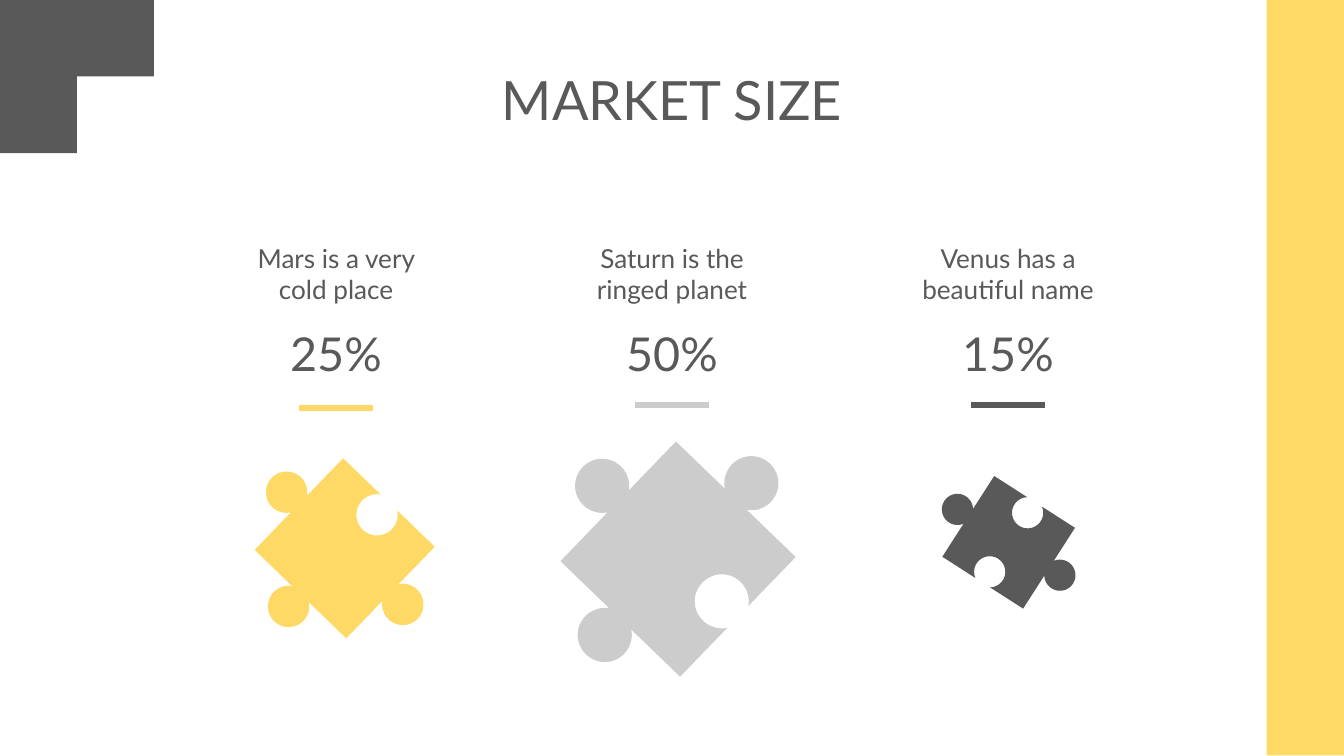
"""Build a market size slide with three puzzle pieces scaled to their shares."""
from dataclasses import dataclass
from math import acos, cos, hypot, pi, radians, sin, tan

from lxml.etree import SubElement
from pptx import Presentation
from pptx.dml.color import RGBColor
from pptx.enum.shapes import MSO_CONNECTOR, MSO_SHAPE
from pptx.enum.text import MSO_ANCHOR, MSO_AUTO_SIZE, PP_ALIGN
from pptx.oxml.ns import qn
from pptx.util import Inches, Pt


@dataclass(frozen=True)
class Theme:
    font: str = "Lato"
    dark: str = "595959"
    yellow: str = "FFD966"
    grey: str = "CCCCCC"
    title_size: int = 58
    share_size: int = 50
    label_size: int = 28
    rule_width: int = 6


THEME = Theme()
KNOB, HOLE = 1, -1
TITLE = "MARKET SIZE"
MARKETS = [
    {"label": "Mars is a very cold place", "share": "25%", "color": THEME.yellow, "rule_y": 6.07,
     "center": (5.13, 8.16), "reach": 1.34, "turn": -91, "edges": (HOLE, KNOB, KNOB, KNOB)},
    {"label": "Saturn is the ringed planet", "share": "50%", "color": THEME.grey, "rule_y": 6.03,
     "center": (10.09, 8.32), "reach": 1.75, "turn": -91, "edges": (KNOB, HOLE, KNOB, KNOB)},
    {"label": "Venus has a beautiful name", "share": "15%", "color": THEME.dark, "rule_y": 6.03,
     "center": (15.01, 8.07), "reach": 1.01, "turn": -102.3, "edges": (HOLE, KNOB, HOLE, KNOB)},
]
FIRST_COLUMN, COLUMN_STEP = 5, 5
KNOB_RADIUS, KNOB_OFFSET, ARC_CURVES = 0.23, 0.19, 3
POINTS_PER_EDGE = 2 + 3 * ARC_CURVES


def paint(shape, color):
    shape.fill.solid()
    shape.fill.fore_color.rgb = RGBColor.from_string(color)
    shape.line.fill.background()
    shape.shadow.inherit = False


def write(shape, text, size, anchor, insets):
    frame = shape.text_frame
    frame.word_wrap = True
    frame.auto_size = MSO_AUTO_SIZE.NONE
    frame.vertical_anchor = anchor
    frame.margin_left, frame.margin_top, frame.margin_right, frame.margin_bottom = map(Inches, insets)
    paragraph = frame.paragraphs[0]
    paragraph.alignment = PP_ALIGN.CENTER
    run = paragraph.add_run()
    run.text = text
    run.font.name = THEME.font
    run.font.size = Pt(size)
    run.font.color.rgb = RGBColor.from_string(THEME.dark)


def add_centered_text(slide, text, size, anchor, column, top, width, height):
    box = slide.shapes.add_textbox(Inches(column - width / 2), Inches(top), Inches(width), Inches(height))
    write(box, text, size, anchor, (0, 0.01, 0, 0))


def add_rule(slide, column, y, color, half=0.55):
    rule = slide.shapes.add_connector(
        MSO_CONNECTOR.STRAIGHT, Inches(column - half), Inches(y), Inches(column + half), Inches(y))
    rule.line.color.rgb = RGBColor.from_string(color)
    rule.line.width = Pt(THEME.rule_width)
    SubElement(rule._element.spPr, qn("a:effectLst"))


def arc_points(radius, sweep):
    """Return the start, then two handles and an end for each curve, around the arc's centre."""
    step = 2 * sweep / ARC_CURVES
    handle = 4 / 3 * tan(step / 4)
    points = [(-radius * sin(sweep), radius * cos(sweep))]
    for i in range(ARC_CURVES):
        start, end = -sweep + i * step, -sweep + (i + 1) * step
        for angle, pull in ((start, handle), (end, -handle), (end, 0)):
            points.append((radius * (sin(angle) + pull * cos(angle)),
                           radius * (cos(angle) - pull * sin(angle))))
    return points


def piece_outline(center, reach, turn, edges):
    corners = [(center[0] + reach * cos(radians(turn + 90 * i)),
                center[1] + reach * sin(radians(turn + 90 * i))) for i in range(4)]
    radius, offset = reach * KNOB_RADIUS, reach * KNOB_OFFSET
    arc = arc_points(radius, pi - acos(offset / radius))
    points = []
    for i, side in enumerate(edges):
        (x1, y1), (x2, y2) = corners[i], corners[(i + 1) % 4]
        length = hypot(x2 - x1, y2 - y1)
        ux, uy = (x2 - x1) / length, (y2 - y1) / length
        nx, ny = side * uy, -side * ux
        cx, cy = (x1 + x2) / 2 + offset * nx, (y1 + y2) / 2 + offset * ny
        points.append((x1, y1))
        points += [(cx + along * ux + out * nx, cy + along * uy + out * ny) for along, out in arc]
    return points


def round_knobs(shape):
    """Join the three points of each arc part into one cubic curve."""
    segments = list(shape._element.iter(qn("a:lnTo")))
    for edge in range(4):
        for curve in range(ARC_CURVES):
            first = edge * POINTS_PER_EDGE + 1 + 3 * curve
            target, *others = segments[first:first + 3]
            target.tag = qn("a:cubicBezTo")
            for other in others:
                target.append(other[0])
                other.getparent().remove(other)


def add_piece(slide, market):
    points = piece_outline(market["center"], market["reach"], market["turn"], market["edges"])
    start, *rest = [(Inches(x), Inches(y)) for x, y in points]
    builder = slide.shapes.build_freeform(*start)
    builder.add_line_segments(rest, close=True)
    piece = builder.convert_to_shape()
    round_knobs(piece)
    paint(piece, market["color"])


def main():
    deck = Presentation()
    deck.slide_width, deck.slide_height = Inches(20), Inches(11.25)
    slide = deck.slides.add_slide(deck.slide_layouts[5])

    corner = slide.shapes.add_shape(
        MSO_SHAPE.from_xml("corner"), 0, Inches(-0.01), Inches(2.29), Inches(2.29))
    corner.rotation = 90
    paint(corner, THEME.dark)
    band = slide.shapes.add_shape(
        MSO_SHAPE.RECTANGLE, Inches(18.85), Inches(-0.01), Inches(1.15), Inches(11.25))
    paint(band, THEME.yellow)

    title = slide.shapes.title
    title.left, title.top, title.width, title.height = map(Inches, (1.57, 0.97, 16.86, 0.99))
    write(title, TITLE, THEME.title_size, MSO_ANCHOR.MIDDLE, (0.2, 0.2, 0.2, 0.2))

    for i, market in enumerate(MARKETS):
        column = FIRST_COLUMN + i * COLUMN_STEP
        add_centered_text(slide, market["label"], THEME.label_size, MSO_ANCHOR.BOTTOM, column, 3.8, 2.82, 0.74)
        add_centered_text(slide, market["share"], THEME.share_size, MSO_ANCHOR.MIDDLE, column, 4.75, 1.88, 0.99)
        add_rule(slide, column, market["rule_y"], market["color"])
        add_piece(slide, market)

    deck.save("out.pptx")


if __name__ == "__main__":
    main()
